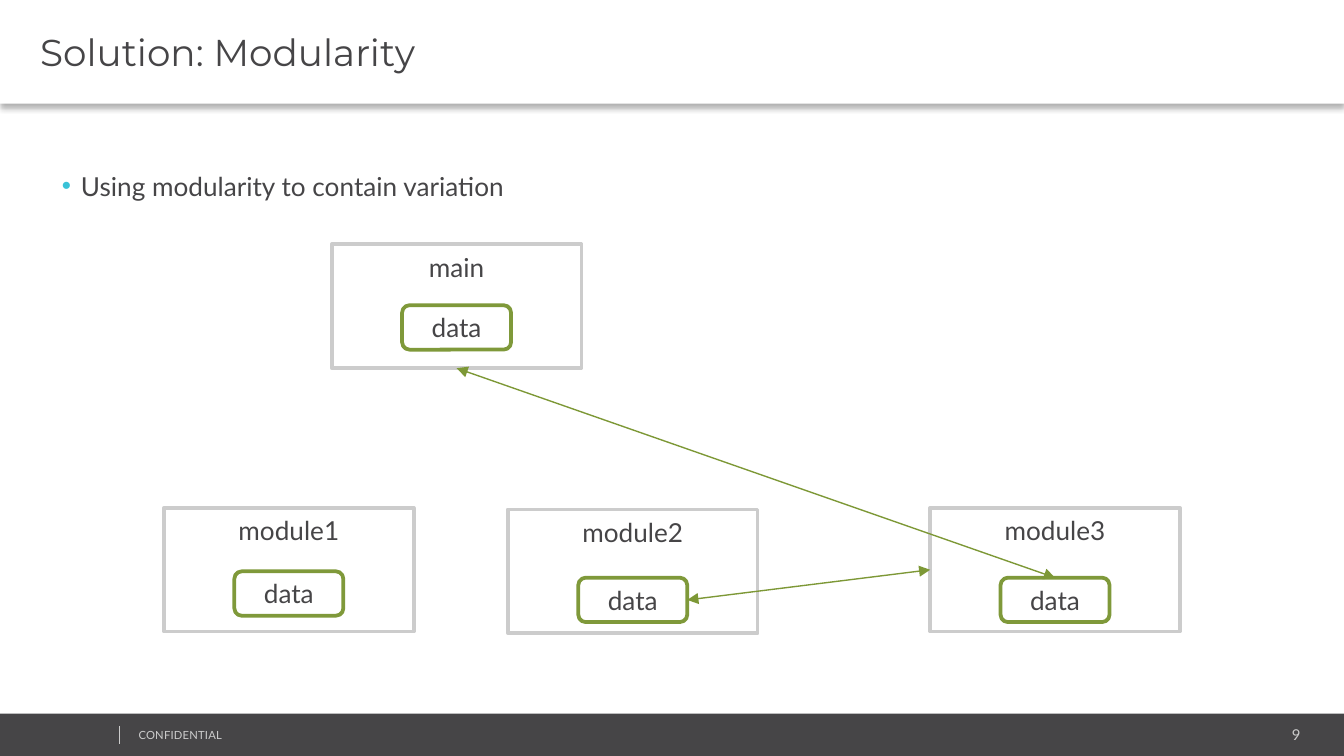
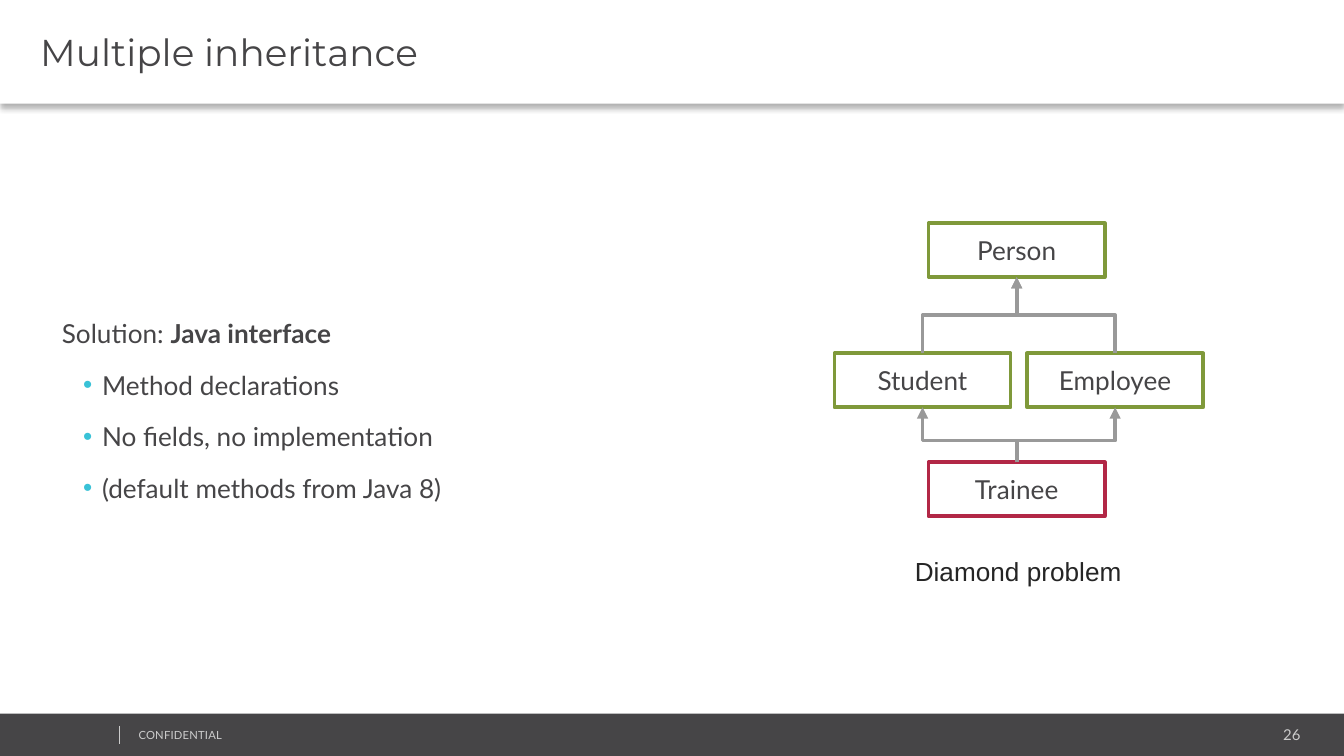
from lxml import etree
from pptx import Presentation
from pptx.dml.color import RGBColor
from pptx.enum.shapes import MSO_CONNECTOR, MSO_SHAPE
from pptx.enum.text import MSO_ANCHOR, PP_ALIGN
from pptx.oxml.ns import qn
from pptx.util import Cm, Pt

RECT, ROUND = MSO_SHAPE.RECTANGLE, MSO_SHAPE.ROUNDED_RECTANGLE
STRAIGHT, ELBOW = MSO_CONNECTOR.STRAIGHT, MSO_CONNECTOR.ELBOW
TOP, MIDDLE = MSO_ANCHOR.TOP, MSO_ANCHOR.MIDDLE
LEFT, CENTER, RIGHT = PP_ALIGN.LEFT, PP_ALIGN.CENTER, PP_ALIGN.RIGHT

DARK = RGBColor(0x46, 0x45, 0x47)
CAPTION = RGBColor(0x25, 0x25, 0x25)
LIGHT = RGBColor(0xCC, 0xCC, 0xCC)
GRAY = RGBColor(0x99, 0x99, 0x99)
WHITE = RGBColor(0xFF, 0xFF, 0xFF)
GREEN = RGBColor(0x7F, 0x99, 0x3A)
ARROW_GREEN = RGBColor(0x7D, 0x98, 0x36)
RED = RGBColor(0xB2, 0x27, 0x46)
CYAN = RGBColor(0x39, 0xC2, 0xD7)

BODY_INSETS = (0.18, 0.1, 0.18, 0.1)
SHAPE_INSETS = (0.25, 0.13, 0.25, 0.13)


def add_text(s, text, x, y, w, h, shape=None, fill=WHITE, line=None, size=14,
             font="Lato", color=DARK, bold="", align=LEFT, anchor=TOP,
             insets=SHAPE_INSETS, wrap=True, spacing=None, after=None,
             indent=0.36, bullets_from=None):
    box = Cm(x), Cm(y), Cm(w), Cm(h)
    if shape is None:
        sp = s.shapes.add_textbox(*box)
    else:
        sp = s.shapes.add_shape(shape, *box)
        sp.shadow.inherit = False
        sp.fill.solid()
        sp.fill.fore_color.rgb = fill
        if line is None:
            sp.line.fill.background()
        else:
            sp.line.color.rgb = line
            sp.line.width = Pt(2)
    tf = sp.text_frame
    tf.word_wrap = wrap
    tf.vertical_anchor = anchor
    tf.margin_left, tf.margin_top, tf.margin_right, tf.margin_bottom = map(Cm, insets)
    for i, content in enumerate(text.split("\n")):
        p = tf.paragraphs[0] if i == 0 else tf.add_paragraph()
        if bullets_from is not None and i >= bullets_from:
            pPr = p._p.get_or_add_pPr()
            pPr.set("marL", str(Cm(indent)))
            pPr.set("indent", str(-Cm(0.36)))
            clr = etree.SubElement(pPr, qn("a:buClr"))
            etree.SubElement(clr, qn("a:srgbClr"), val=str(CYAN))
            etree.SubElement(pPr, qn("a:buFont"), typeface="Arial")
            etree.SubElement(pPr, qn("a:buChar"), char="•")
        p.alignment = align
        if spacing:
            p.line_spacing = spacing
        if after:
            p.space_after = Pt(after)
        for part in content.partition(bold) if bold else [content]:
            if part:
                r = p.add_run()
                r.text = part
                r.font.size = Pt(size)
                r.font.name = font
                r.font.color.rgb = color
                r.font.bold = part == bold
    return sp


def style_line(cxn, color, width, *ends):
    cxn.line.color.rgb = color
    cxn.line.width = Pt(width)
    ln = cxn.line._get_or_add_ln()
    for end in ends:
        etree.SubElement(ln, qn("a:" + end), type="triangle")
    etree.SubElement(cxn._element.spPr, qn("a:effectLst"))


prs = Presentation()
prs.slide_width, prs.slide_height = Cm(25.4), Cm(14.29)

slides = []
for title, number, body, body_format in [
    ("Solution: Modularity", "9", "Using modularity to contain variation",
     dict(w=23.16, bullets_from=0)),
    ("Multiple inheritance", "26",
     "Solution: Java interface\nMethod declarations\n"
     "No fields, no implementation\n(default methods from Java 8)",
     dict(w=10.44, bullets_from=1, indent=0.76, anchor=MIDDLE, bold="Java interface")),
]:
    s = prs.slides.add_slide(prs.slide_layouts[6])
    slides.append(s)
    add_text(s, "", 0, 13.49, 25.4, 0.8, shape=RECT, fill=DARK)
    add_text(s, number, 20.62, 13.61, 4.14, 0.53, size=8, color=LIGHT,
             align=RIGHT, insets=BODY_INSETS)
    sp = add_text(s, "CONFIDENTIAL", 2.44, 13.67, 6.43, 0.46, size=6, color=LIGHT,
                  insets=BODY_INSETS)
    sp.text_frame.paragraphs[0].runs[0]._r.get_or_add_rPr().set("spc", "10")
    divider = s.shapes.add_connector(STRAIGHT, Cm(2.26), Cm(13.72), Cm(2.26), Cm(14.07))
    style_line(divider, LIGHT, 0.25)
    add_text(s, body, x=0.99, y=3, h=9.4, insets=BODY_INSETS, spacing=1.2, after=7.5,
             **body_format)
    band = add_text(s, title, 0, 0, 25.4, 1.96, shape=RECT, size=20, font="Montserrat",
                    anchor=MIDDLE, insets=(0.76, 0.1, 0.18, 0.1))
    effects = band._element.spPr.find(qn("a:effectLst"))
    shadow = etree.SubElement(effects, qn("a:outerShdw"), blurRad=str(Pt(3.1)),
                              dist=str(Pt(2)), dir="5400000", algn="t", rotWithShape="0")
    clr = etree.SubElement(shadow, qn("a:srgbClr"), val="000000")
    etree.SubElement(clr, qn("a:alpha"), val="30000")

modularity, inheritance = slides

MODULE_W, MODULE_H = 4.72, 2.34
DATA_W, DATA_H = 2.06, 0.84
modules, data = {}, {}
for name, x, y, data_y in [
    ("main", 6.27, 4.62, 5.77),
    ("module1", 3.1, 9.6, 10.8),
    ("module2", 9.6, 9.63, 10.92),
    ("module3", 17.58, 9.6, 10.92),
]:
    modules[name] = add_text(modularity, name, x, y, MODULE_W, MODULE_H, shape=RECT,
                             line=LIGHT, align=CENTER)
    data[name] = add_text(modularity, "data", x + (MODULE_W - DATA_W) / 2, data_y,
                          DATA_W, DATA_H, shape=ROUND, line=GREEN, align=CENTER,
                          anchor=MIDDLE)

for start, start_site, end, end_site in [
    (data["module2"], 3, modules["module3"], 1),
    (data["module3"], 0, modules["main"], 2),
]:
    cxn = modularity.shapes.add_connector(STRAIGHT, 0, 0, 0, 0)
    cxn.begin_connect(start, start_site)
    cxn.end_connect(end, end_site)
    style_line(cxn, ARROW_GREEN, 0.75, "headEnd", "tailEnd")

add_text(inheritance, "Diamond problem", 17.04, 10.36, 4.45, 0.86, font="Arial",
         color=CAPTION, wrap=False)
CLASS_W, CLASS_H = 3.33, 1.02
classes = {}
for name, x, y, line in [
    ("Person", 17.55, 4.22, GREEN),
    ("Student", 15.77, 6.68, GREEN),
    ("Employee", 19.41, 6.68, GREEN),
    ("Trainee", 17.55, 8.74, RED),
]:
    classes[name] = add_text(inheritance, name, x, y, CLASS_W, CLASS_H, shape=RECT,
                             line=line, align=CENTER, anchor=MIDDLE)

for child, parent, bend in [
    ("Student", "Person", 50000),
    ("Employee", "Person", 50000),
    ("Trainee", "Student", 39700),
    ("Trainee", "Employee", 39700),
]:
    lower, upper = classes[child], classes[parent]
    x1, y1 = lower.left + lower.width // 2, lower.top
    x2, y2 = upper.left + upper.width // 2, upper.top + upper.height
    cx, cy = (x1 + x2) // 2, (y1 + y2) // 2
    half_w, half_h = (y1 - y2) // 2, (x2 - x1) // 2
    cxn = inheritance.shapes.add_connector(ELBOW, cx - half_w, cy - half_h,
                                           cx + half_w, cy + half_h)
    spPr = cxn._element.spPr
    spPr.find(qn("a:xfrm")).set("rot", "16200000")
    guides = spPr.find(qn("a:prstGeom")).find(qn("a:avLst"))
    etree.SubElement(guides, qn("a:gd"), name="adj1", fmla=f"val {bend}")
    style_line(cxn, GRAY, 2, "tailEnd")

prs.save("out.pptx")
